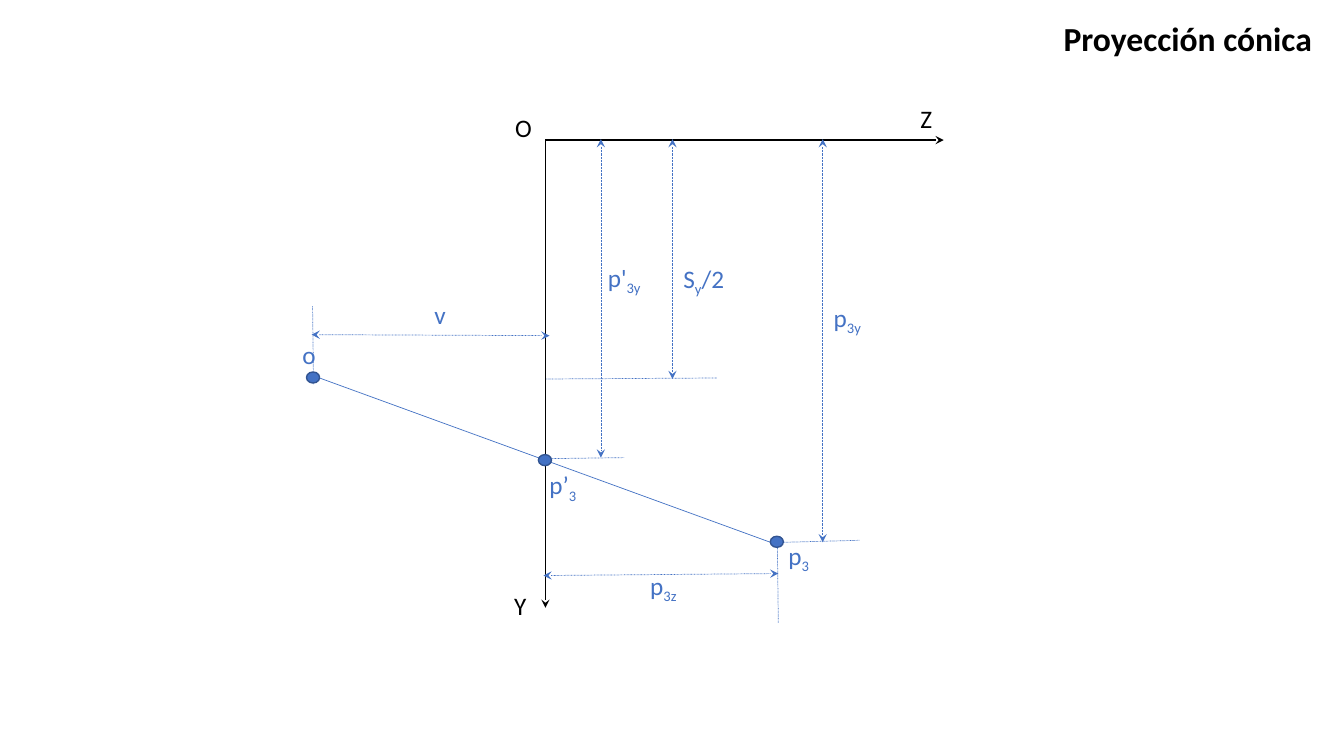
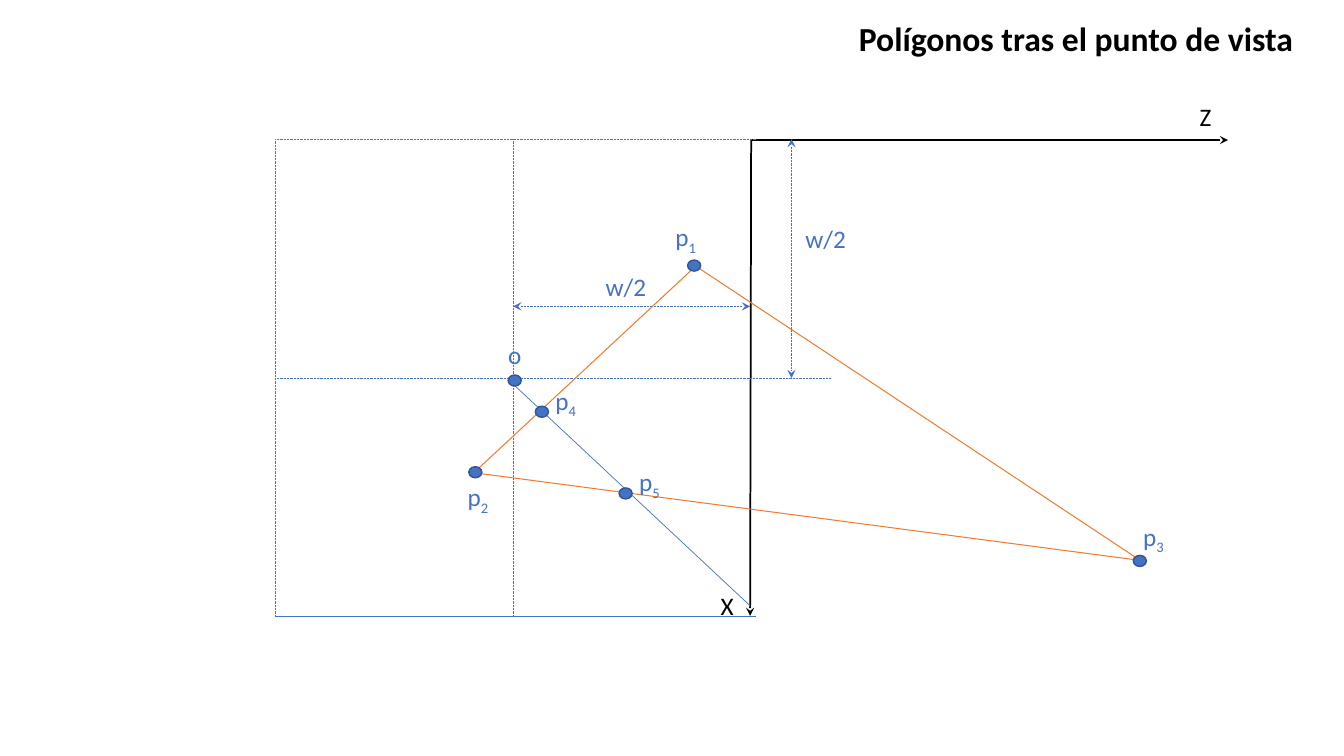
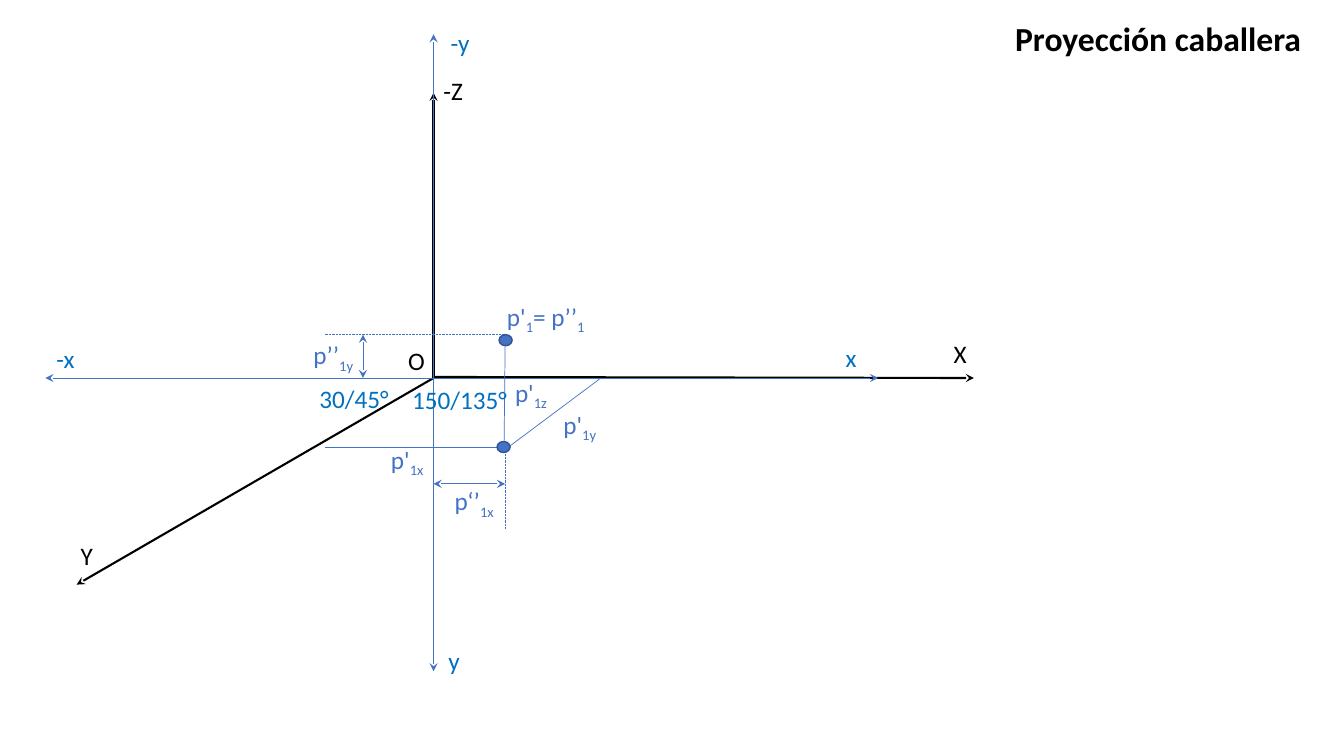
import itertools

import pptx
import pptx.dml.color
import pptx.enum.dml
import pptx.enum.shapes
import pptx.enum.text
import pptx.oxml
import pptx.oxml.ns
import pptx.util

PX = 9144  # EMU in one px: 100 px to the inch
COLORS = {
    "ink": "000000",
    "blue": "4472C4",
    "edge": "325491",
    "screen": "0070C0",
    "orange": "ED7D31",
}
FONT = "Calibri"
DOT_W, DOT_H = 13, 11
LABEL_H = 40


def px(n):
    return pptx.util.Emu(n * PX)


def rgb(name):
    return pptx.dml.color.RGBColor.from_string(COLORS[name])


def add_sub(parent, tag, **attrs):
    el = pptx.oxml.parse_xml(f'<a:{tag} {pptx.oxml.ns.nsdecls("a")}/>')
    for key, value in attrs.items():
        el.set(key, value)
    parent.append(el)


def add_text(s, text, x, y, w, h, size, color, bold=False, wrap=True):
    """Add a text box; every second part between bars is a subscript."""
    tf = s.shapes.add_textbox(px(x), px(y), px(w), px(h)).text_frame
    tf.word_wrap = wrap
    tf.auto_size = pptx.enum.text.MSO_AUTO_SIZE.SHAPE_TO_FIT_TEXT
    p = tf.paragraphs[0]
    p.font.name = FONT
    p.font.size = pptx.util.Pt(size)
    p.font.bold = bold
    p.font.color.rgb = rgb(color)
    for i, part in enumerate(text.split("|")):
        r = p.add_run()
        r.text = part
        if i % 2:
            r._r.get_or_add_rPr().set("baseline", "-25000")


class Diagram:
    """Draws on a slide, with lengths measured from the axis origin."""

    def __init__(self, s, origin):
        self.s = s
        self.x, self.y = origin

    def line(self, x1, y1, x2, y2, color="blue", width=0.5, dotted=False, ends=()):
        sp = self.s.shapes.add_connector(
            pptx.enum.shapes.MSO_CONNECTOR.STRAIGHT,
            px(self.x + x1), px(self.y + y1), px(self.x + x2), px(self.y + y2))
        sp.line.color.rgb = rgb(color)
        sp.line.width = pptx.util.Pt(width)
        if dotted:
            sp.line.dash_style = pptx.enum.dml.MSO_LINE.ROUND_DOT
        ln = sp.line._get_or_add_ln()
        for end in ends:
            add_sub(ln, end, type="stealth")
        add_sub(sp._element.spPr, "effectLst")

    def axis(self, *points, width=1.25):
        self.line(*points, color="ink", width=width, ends=("tailEnd",))

    def dimension(self, *points, dotted=True):
        self.line(*points, dotted=dotted, ends=("headEnd", "tailEnd"))

    def guides(self, *lines):
        for points in lines:
            self.line(*points, dotted=True)

    def dots(self, *corners):
        for x, y in corners:
            sp = self.s.shapes.add_shape(
                pptx.enum.shapes.MSO_SHAPE.OVAL,
                px(self.x + x), px(self.y + y), px(DOT_W), px(DOT_H))
            sp.shadow.inherit = False
            sp.fill.solid()
            sp.fill.fore_color.rgb = rgb("blue")
            sp.line.color.rgb = rgb("edge")
            sp.line.width = pptx.util.Pt(1)

    def labels(self, color, *items):
        for text, x, y, w in items:
            add_text(self.s, text, self.x + x, self.y + y, w, LABEL_H, 18, color)


def draw_conic(s, origin):
    d = Diagram(s, origin)
    d.axis(0, 0, 0, 464)
    d.axis(0, 0, 395, 0)
    d.line(-224, 236, 234, 403)
    for x, bottom in ((275, 399), (55, 315), (126, 237)):
        d.dimension(x, -1, x, bottom)
    d.dimension(-232, 193, 4, 194)
    d.dimension(-2, 432, 231, 430)
    d.guides((4, 316, 78, 315), (237, 399, 312, 397), (-231, 165, -230, 242),
             (1, 237, 170, 236), (230, 402, 231, 479))
    d.dots((-237, 230), (223, 393), (-7, 312))
    d.labels("blue", ("p|3", 231, 392, 45), ("p’|3", -6, 322, 60),
             ("o", -251, 193, 39), ("v", -120, 153, 39),
             ("p|3y", 276, 156, 54), ("p'|3y", 52, 116, 79),
             ("S|y|/2", 127, 117, 63), ("p|3z", 94, 422, 54))
    d.labels("ink", ("O", -40, -32, 39), ("Z", 362, -41, 39), ("Y", -41, 442, 39))


def draw_polygon(s, origin):
    d = Diagram(s, origin)
    half = 236
    d.axis(0, 0, -1, 2 * half)
    d.axis(0, 0, 473, 0)
    d.guides((-2 * half, -1, 5, -1), (-2 * half, -1, -2 * half, 2 * half),
             (-2 * half, half, 0, half), (-half, -1, -half, 2 * half),
             (-4, half, 79, half))
    d.line(-2 * half, 2 * half, 5, 2 * half)
    d.dimension(-half, 165, -1, 165)
    d.dimension(40, -1, 40, half)
    triangle = ((-275, 330), (-55, 125), (386, 417))
    for start, end in itertools.combinations(triangle, 2):
        d.line(*start, *end, color="orange", width=0.75)
    d.line(-234, 244, -1, 462)
    d.dots((-241, 233), (-280, 324), (-63, 119), (379, 412), (-214, 264), (-131, 345))
    d.labels("blue", ("o", -251, 193, 39), ("w/2", -154, 125, 103), ("w/2", 44, 78, 63),
             ("p|1", -85, 76, 45), ("p|2", -291, 334, 45), ("p|3", 379, 373, 45),
             ("p|4", -204, 238, 45), ("p|5", -121, 319, 45))
    d.labels("ink", ("Z", 435, -43, 39), ("X", -40, 442, 39))


def draw_cavalier(s, origin):
    d = Diagram(s, origin)
    for points in ((0, 0, 0, -283), (0, 0, -354, 205), (0, -1, 536, 0)):
        d.axis(*points, width=1.5)
    for points in ((-385, 0, 441, 0), (0, -341, 0, 291),
                   (71, 105, 0, 105), (-70, -43, -70, 0)):
        d.dimension(*points, dotted=False)
    for points in ((71, -32, 70, 63), (-108, 69, 76, 69), (71, 71, 166, 0)):
        d.line(*points)
    d.guides((71, -43, -108, -43), (71, 71, 71, 150))
    d.dots((65, -43), (63, 63))
    d.labels("ink", ("-Z", 0, -305, 40), ("Y", -360, 156, 32),
             ("X", 506, -44, 27), ("O", -35, -37, 39))
    d.labels("screen", ("30/45°", -123, 0, 90), ("150/135°", -31, 1, 117),
             ("x", 399, -40, 27), ("y", 5, 260, 27),
             ("-y", 7, -353, 49), ("-x", -384, -39, 49))
    d.labels("blue", ("p'|1|= p’’|1", 63, -81, 117), ("p'|1y", 119, 26, 73),
             ("p'|1x", -52, 61, 73), ("p'|1z", 71, -6, 73),
             ("p‘’|1x", 11, 102, 73), ("p’’|1y", -129, -43, 73))


def main():
    prs = pptx.Presentation()
    prs.slide_width, prs.slide_height = px(1333), px(750)
    slides = (
        ("Proyección cónica", 1045, 269, draw_conic, (541, 139)),
        ("Polígonos tras el punto de vista", 842, 455, draw_polygon, (745, 139)),
        ("Proyección caballera", 997, 306, draw_cavalier, (430, 375)),
    )
    for title, x, w, draw, origin in slides:
        s = prs.slides.add_slide(prs.slide_layouts[6])
        add_text(s, title, x, 13, w, 50, 24, "ink", bold=True, wrap=False)
        draw(s, origin)
    prs.save("out.pptx")


if __name__ == "__main__":
    main()
